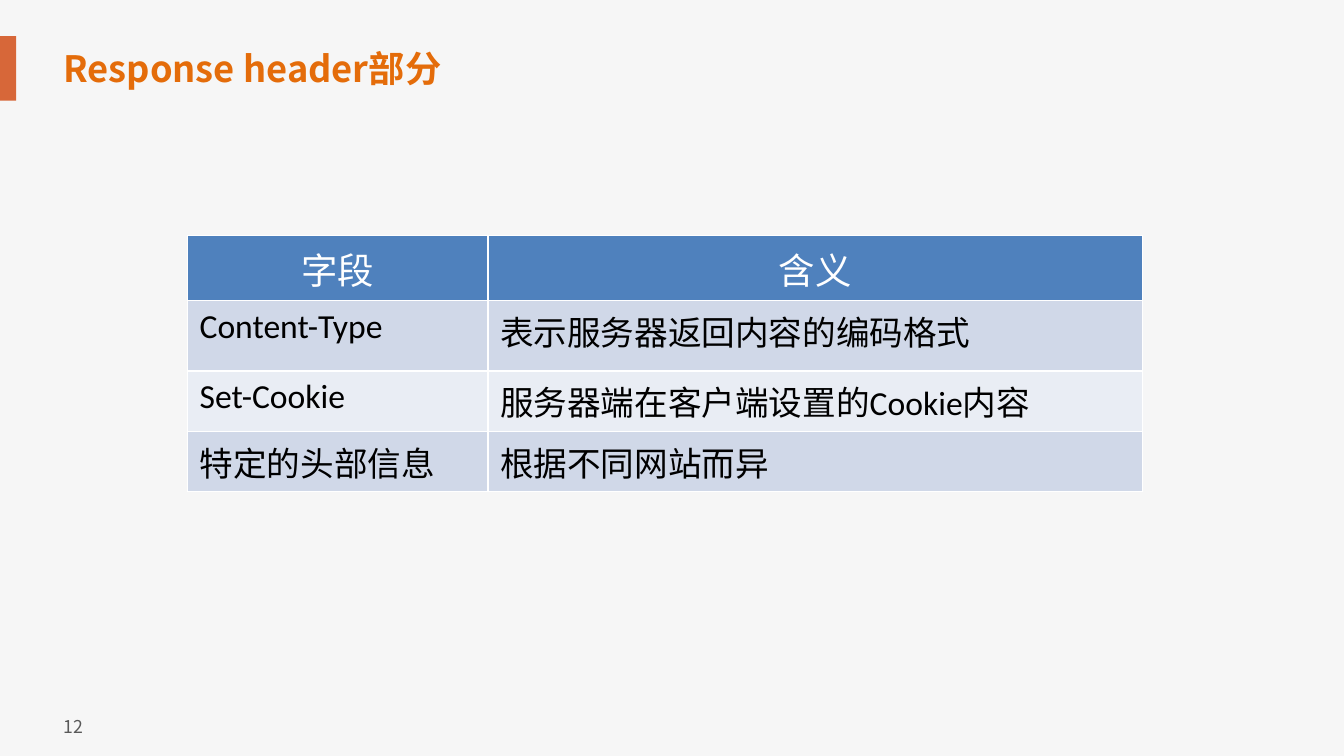
from dataclasses import dataclass

from lxml.etree import SubElement
from pptx import Presentation
from pptx.dml.color import RGBColor
from pptx.enum.shapes import MSO_SHAPE
from pptx.enum.text import MSO_ANCHOR, PP_ALIGN
from pptx.oxml import parse_xml
from pptx.oxml.ns import nsdecls, qn
from pptx.util import Inches, Pt


@dataclass(frozen=True)
class Theme:
    background: str = "F6F6F6"
    accent: str = "D76739"
    title: str = "E46C0A"
    number: str = "595959"
    header: str = "4F81BD"
    bands: tuple = ("D0D8E8", "E9EDF4")
    light: str = "FFFFFF"
    dark: str = "000000"
    cjk_font: str = "Noto Sans CJK SC"
    table_font: str = "Calibri"
    title_size: float = 25.9
    number_size: float = 12.6
    header_size: float = 26
    body_size: float = 24


THEME = Theme()
ROWS = [
    ("字段", "含义"),
    ("Content-Type", "表示服务器返回内容的编码格式"),
    ("Set-Cookie", "服务器端在客户端设置的Cookie内容"),
    ("特定的头部信息", "根据不同网站而异"),
]
COLUMN_WIDTHS = (2.98, 6.49)
ROW_HEIGHTS = (0.64, 0.7, 0.6, 0.6)


def paint(fill, color):
    fill.solid()
    fill.fore_color.rgb = RGBColor.from_string(color)


def write(frame, text, size, color, font, bold=False, align=PP_ALIGN.LEFT):
    para = frame.paragraphs[0]
    para.text = text
    para.alignment = align
    para.font.size = Pt(size)
    para.font.bold = bold
    para.font.name = font
    para.font.color.rgb = RGBColor.from_string(color)
    east_asian = SubElement(para.font._element, qn("a:ea"))
    east_asian.set("typeface", THEME.cjk_font)


def add_text(page, box, text, size, color, bold=False, wrap=True, anchor=MSO_ANCHOR.TOP):
    frame = page.shapes.add_textbox(*map(Inches, box)).text_frame
    frame.word_wrap = wrap
    frame.vertical_anchor = anchor
    write(frame, text, size, color, THEME.cjk_font, bold)


def add_heading(page, box, text):
    left, top, width, height = box
    bar = page.shapes.add_shape(
        MSO_SHAPE.RECTANGLE, Inches(left), Inches(top), Inches(0.25), Inches(height)
    )
    bar.shadow.inherit = False
    paint(bar.fill, THEME.accent)
    bar.line.fill.background()
    title_box = (left + 0.62, top + 0.03, width - 0.62, 0.57)
    add_text(page, title_box, text, THEME.title_size, THEME.title,
             bold=True, anchor=MSO_ANCHOR.MIDDLE)


def add_borders(cell):
    properties = cell._tc.get_or_add_tcPr()
    for index, side in enumerate(("lnL", "lnR", "lnT", "lnB")):
        properties.insert(index, parse_xml(
            f'<a:{side} {nsdecls("a")} w="{Pt(1)}"><a:solidFill>'
            f'<a:srgbClr val="{THEME.light}"/></a:solidFill></a:{side}>'
        ))


def add_field_table(page, left, top):
    table = page.shapes.add_table(
        len(ROWS), len(COLUMN_WIDTHS), Inches(left), Inches(top),
        Inches(sum(COLUMN_WIDTHS)), Inches(sum(ROW_HEIGHTS)),
    ).table
    table.first_row = False
    table.horz_banding = False
    for column, width in zip(table.columns, COLUMN_WIDTHS):
        column.width = Inches(width)
    for index, (row, height, texts) in enumerate(zip(table.rows, ROW_HEIGHTS, ROWS)):
        row.height = Inches(height)
        if index == 0:
            fill, size, color, align = THEME.header, THEME.header_size, THEME.light, PP_ALIGN.CENTER
        else:
            fill = THEME.bands[(index - 1) % 2]
            size, color, align = THEME.body_size, THEME.dark, PP_ALIGN.LEFT
        for cell, text in zip(row.cells, texts):
            cell.margin_left = cell.margin_right = Inches(0.12)
            cell.margin_top = cell.margin_bottom = Inches(0.06)
            paint(cell.fill, fill)
            add_borders(cell)
            write(cell.text_frame, text, size, color, THEME.table_font, align=align)


def build_table_slide(deck):
    page = deck.slides.add_slide(deck.slide_layouts[6])
    paint(page.background.fill, THEME.background)
    add_heading(page, (-0.09, 0.36, 9.98, 0.64), "Response header部分")
    add_field_table(page, 1.86, 2.34)
    add_text(page, (0.53, 7.05, 0.44, 0.31), "12",
             THEME.number_size, THEME.number, wrap=False)


deck = Presentation()
deck.slide_width = Inches(13.33)
deck.slide_height = Inches(7.5)
build_table_slide(deck)
deck.save("out.pptx")
